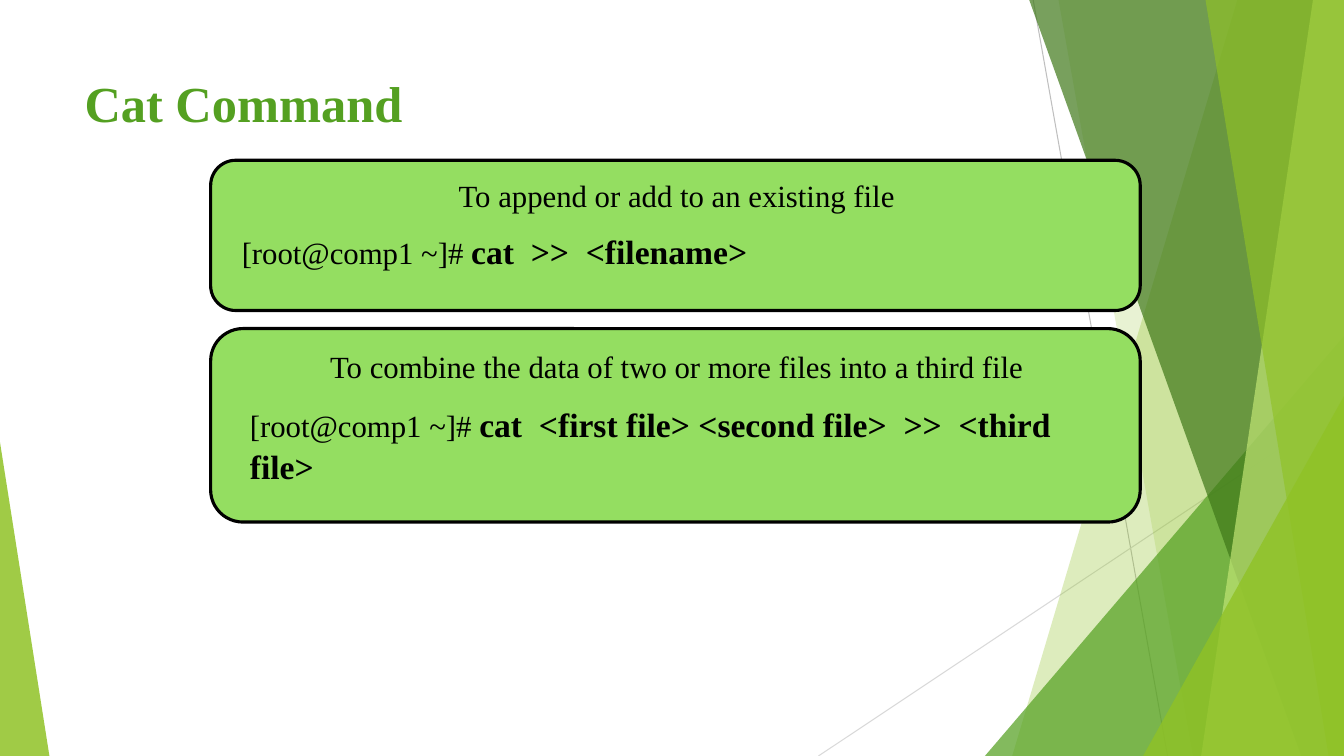
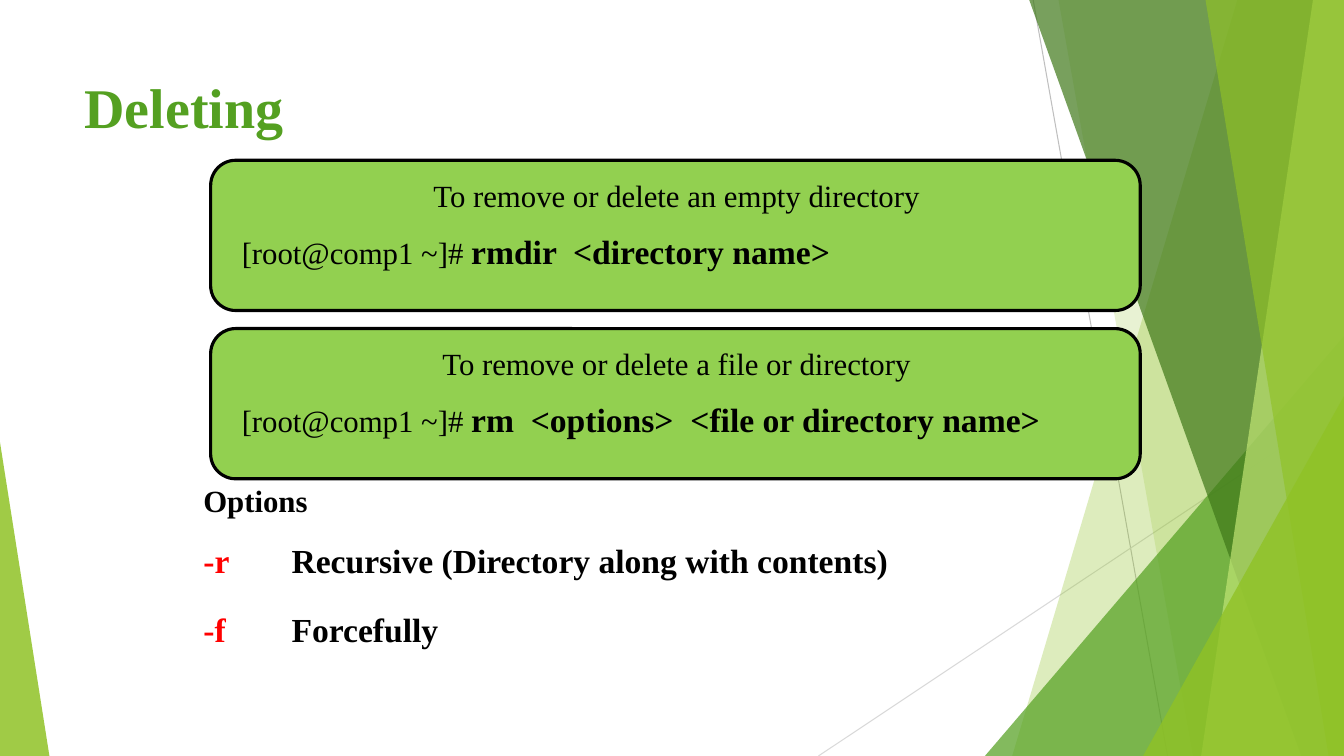
"""Build two slides on shell commands: cat, and rmdir with rm."""
from dataclasses import dataclass

from lxml import etree
from pptx import Presentation
from pptx import util as u
from pptx.dml import color
from pptx.enum import shapes, text
from pptx.oxml import ns

Pt = u.Pt
RGB = color.RGBColor
BLACK = RGB(0x00, 0x00, 0x00)
RED = RGB(0xFF, 0x00, 0x00)
GREEN = RGB(0x54, 0xA0, 0x21)
LIME = RGB(0x90, 0xC2, 0x26)
DARK = RGB(0x3F, 0x78, 0x19)
PALE = RGB(0xC0, 0xE4, 0x74)
MINT = RGB(0x94, 0xDE, 0x61)
GRASS = RGB(0x92, 0xD0, 0x50)
GREY = RGB(0xBF, 0xBF, 0xBF)
LIGHT_GREY = RGB(0xD9, 0xD9, 0xD9)

FONT = "Times New Roman"
WIDTH, HEIGHT = 960, 540
PROMPT = "[root@comp1 ~]# "
PANEL_LEFT, PANEL_WIDTH = 150.5, 664
HEADING_LEFT, TEXT_RIGHT = 165, 801.5
UPPER_TOP, LOWER_TOP = 114.5, 234.7


@dataclass(frozen=True)
class Ray:
    x1: float
    y1: float
    x2: float
    y2: float
    colour: RGB


@dataclass(frozen=True)
class Facet:
    """Band from a slanted left side to the right edge of the slide."""
    top_x: float
    bottom_x: float
    colour: RGB
    opacity: int


@dataclass(frozen=True)
class Wedge:
    """Right triangle standing on the bottom edge of the slide."""
    left: float
    top: float
    width: float
    apex: float
    colour: RGB
    opacity: int


@dataclass(frozen=True)
class Panel:
    heading: str
    command: str
    top: float = UPPER_TOP
    height: float = 107.3
    heading_dy: float = 8
    command_dy: float = 45.4
    command_left: float = 165.6
    command_height: float = 37.4


@dataclass(frozen=True)
class Option:
    flag: str
    meaning: str


RAYS = [Ray(738, 0, 834, HEIGHT, GREY), Ray(WIDTH, 290, 584.6, HEIGHT, LIGHT_GREY)]
BACKDROP = [
    Facet(884, 723, LIME, 30),
    Facet(756, 852, LIME, 20),
    Wedge(703.5, 240, 256.5, 1, GREEN, 72),
    Facet(735, 929.5, DARK, 70),
    Facet(938, 858, PALE, 70),
    Facet(861, 949, LIME, 65),
    Wedge(816.5, 283, 143.5, 1, LIME, 80),
    Wedge(0, 316, 35.3, 0, LIME, 85),
]
CAT_PANELS = [
    Panel("To append or add to an existing file", "cat  >>  <filename>"),
    Panel("To combine the data of two or more files into a third file",
          "cat  <first file> <second file>  >>  <third file>",
          top=LOWER_TOP, height=138.2, heading_dy=10.1, command_dy=49,
          command_left=171.4, command_height=67.7),
]
DELETE_PANELS = [
    Panel("To remove or delete an empty directory", "rmdir  <directory name>"),
    Panel("To remove or delete a file or directory",
          "rm  <options>  <file or directory name>", top=LOWER_TOP),
]
OPTIONS = [
    Option("-r", "Recursive (Directory along with contents)"),
    Option("-f", "Forcefully"),
]


def paint(sp, colour: RGB, opacity: int = 100) -> None:
    sp.shadow.inherit = False
    sp.line.fill.background()
    sp.fill.solid()
    sp.fill.fore_color.rgb = colour
    if opacity < 100:
        clr = sp.fill._xPr.find(".//" + ns.qn("a:srgbClr"))
        etree.SubElement(clr, ns.qn("a:alpha")).set("val", str(opacity * 1000))


def style(p, size: float, colour: RGB = BLACK, bold: bool = False) -> None:
    p.font.name = FONT
    p.font.size = Pt(size)
    p.font.bold = bold
    p.font.color.rgb = colour


def add_run(p, words: str):
    r = p.add_run()
    r.text = words
    return r


def add_ray(s, ray: Ray) -> None:
    line = s.shapes.add_connector(shapes.MSO_CONNECTOR.STRAIGHT, Pt(ray.x1), Pt(ray.y1),
                                  Pt(ray.x2), Pt(ray.y2))
    line.line.color.rgb = ray.colour
    line.line.width = Pt(0.75)
    etree.SubElement(line._element.spPr, ns.qn("a:effectLst"))


def add_facet(s, facet: Facet) -> None:
    outline = s.shapes.build_freeform(Pt(facet.top_x), Pt(-0.6))
    corners = [(WIDTH, -0.6), (WIDTH, HEIGHT), (facet.bottom_x, HEIGHT)]
    outline.add_line_segments([(Pt(x), Pt(y)) for x, y in corners], close=True)
    paint(outline.convert_to_shape(), facet.colour, facet.opacity)


def add_wedge(s, wedge: Wedge) -> None:
    sp = s.shapes.add_shape(shapes.MSO_SHAPE.ISOSCELES_TRIANGLE, Pt(wedge.left), Pt(wedge.top),
                            Pt(wedge.width), Pt(HEIGHT - wedge.top))
    sp.adjustments[0] = wedge.apex
    paint(sp, wedge.colour, wedge.opacity)


def add_text(s, left: float, top: float, width: float, height: float):
    sp = s.shapes.add_textbox(Pt(left), Pt(top), Pt(width), Pt(height))
    sp.text_frame.word_wrap = True
    return sp


def add_line(s, left: float, top: float, width: float, height: float,
             words: str, size: float, colour: RGB = BLACK) -> None:
    p = add_text(s, left, top, width, height).text_frame.paragraphs[0]
    style(p, size, colour, bold=True)
    add_run(p, words)


def add_strip(s, left: float, top: float, height: float, fill: RGB):
    sp = s.shapes.add_shape(shapes.MSO_SHAPE.RECTANGLE, Pt(left), Pt(top),
                            Pt(TEXT_RIGHT - left), Pt(height))
    paint(sp, fill)
    tf = sp.text_frame
    tf.word_wrap = True
    tf.vertical_anchor = text.MSO_ANCHOR.TOP
    p = tf.paragraphs[0]
    p.alignment = text.PP_ALIGN.LEFT
    style(p, 22)
    return p


def add_panel(s, panel: Panel, fill: RGB) -> None:
    frame = s.shapes.add_shape(shapes.MSO_SHAPE.ROUNDED_RECTANGLE, Pt(PANEL_LEFT), Pt(panel.top),
                               Pt(PANEL_WIDTH), Pt(panel.height))
    paint(frame, fill)
    frame.line.color.rgb = BLACK
    frame.line.width = Pt(2.25)
    p = add_strip(s, HEADING_LEFT, panel.top + panel.heading_dy, 33.8, fill)
    p.alignment = text.PP_ALIGN.CENTER
    add_run(p, panel.heading)
    p = add_strip(s, panel.command_left, panel.top + panel.command_dy,
                  panel.command_height, fill)
    p.line_spacing = Pt(30)
    add_run(p, PROMPT)
    command = add_run(p, panel.command)
    command.font.size = Pt(24)
    command.font.bold = True


def add_options(s, options: list[Option]) -> None:
    tf = add_text(s, 138.2, 368, 678, 103.7).text_frame
    for i, option in enumerate(options):
        p = tf.add_paragraph() if i else tf.paragraphs[0]
        style(p, 24, bold=True)
        p.alignment = text.PP_ALIGN.JUSTIFY
        p.line_spacing = 1.5
        p.space_before = Pt(6)
        pPr = p._p.get_or_add_pPr()
        pPr.set("marL", str(Pt(27)))
        pPr.set("indent", str(Pt(-27)))
        pPr.set("defTabSz", str(Pt(36)))
        add_run(p, option.flag + "\t\t").font.color.rgb = RED
        add_run(p, option.meaning)


def add_slide(prs, title: str, title_size: float, panels: list[Panel], fill: RGB):
    s = prs.slides.add_slide(prs.slide_layouts[6])
    for ray in RAYS:
        add_ray(s, ray)
    for piece in BACKDROP:
        if isinstance(piece, Facet):
            add_facet(s, piece)
        else:
            add_wedge(s, piece)
    add_line(s, 53.3, 48, 677, 104, title, title_size, GREEN)
    for panel in panels:
        add_panel(s, panel, fill)
    return s


def main() -> None:
    prs = Presentation()
    prs.slide_width, prs.slide_height = Pt(WIDTH), Pt(HEIGHT)
    add_slide(prs, "Cat Command", 36, CAT_PANELS, MINT)
    s = add_slide(prs, "Deleting", 40, DELETE_PANELS, GRASS)
    add_options(s, OPTIONS)
    add_line(s, 138.2, 340.6, 112.3, 33.8, "Options", 22)
    prs.save("out.pptx")


main()
